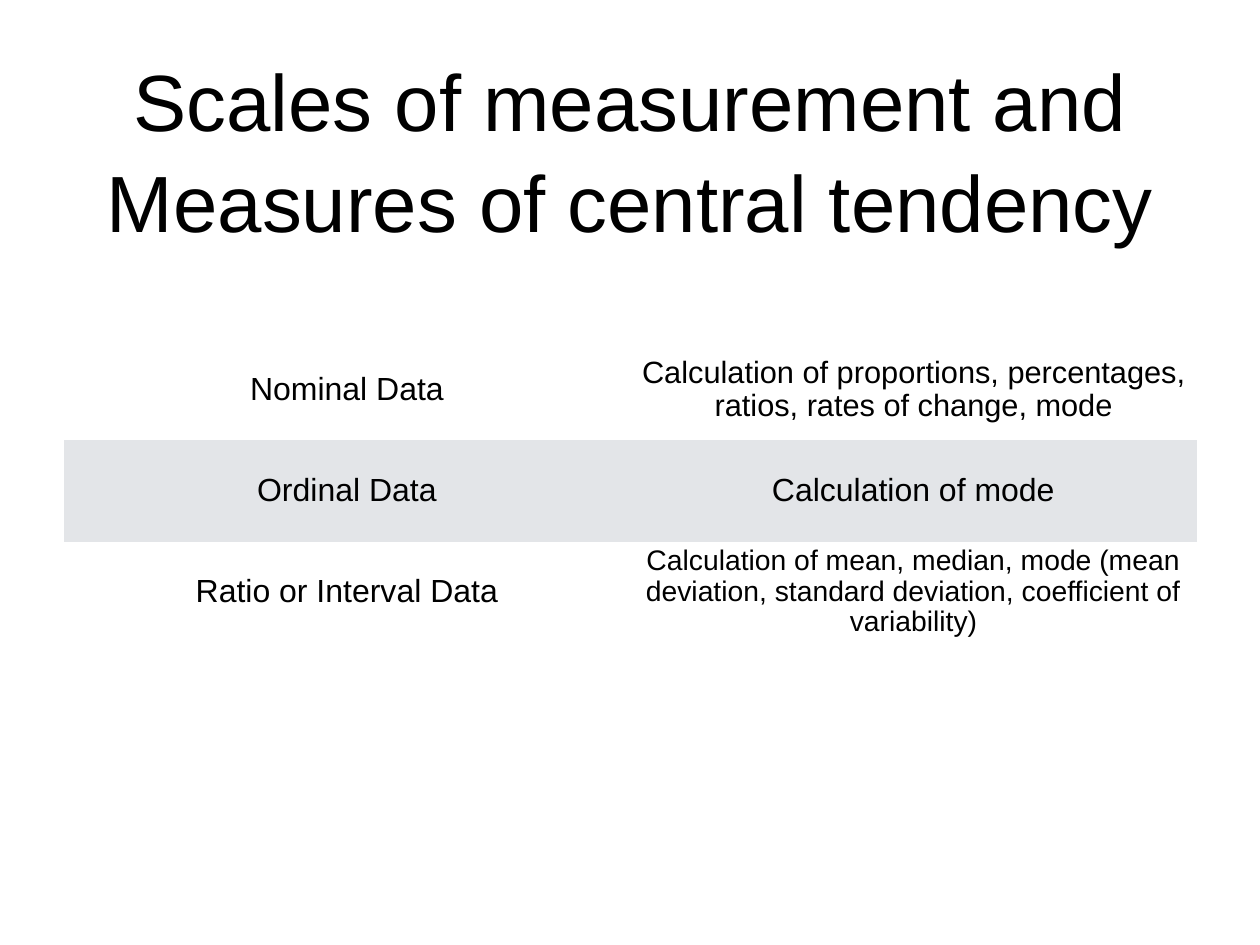
from pptx import Presentation
from pptx.dml.color import RGBColor
from pptx.enum.text import MSO_ANCHOR, MSO_AUTO_SIZE, PP_ALIGN
from pptx.oxml.ns import qn
from pptx.util import Cm, Pt

COLORS = {"text": "000000", "plain": "FFFFFF", "band": "E3E5E8"}
NO_STYLE_NO_GRID = "{2D5ABB26-0587-4C30-8999-92F81FD0307C}"
ROW_HEIGHT = Cm(2.9)
COL_WIDTH = Cm(16.24)
CELL_MARGIN = Cm(0.13)

# Each cell holds its text and its size in points
ROWS = [
    [("Nominal Data", 26),
     ("Calculation of proportions, percentages, ratios, rates of change, mode", 25)],
    [("Ordinal Data", 26), ("Calculation of mode", 26)],
    [("Ratio or Interval Data", 26),
     ("Calculation of mean, median, mode (mean deviation, standard deviation, "
      "coefficient of variability)", 23)],
]


def write_centered(tf, text, size, line_spacing):
    p = tf.paragraphs[0]
    p.alignment = PP_ALIGN.CENTER
    p.line_spacing = line_spacing
    r = p.add_run()
    r.text = text
    r.font.name = "Arial"
    r.font.size = Pt(size)
    r.font.color.rgb = RGBColor.from_string(COLORS["text"])


prs = Presentation()
prs.slide_width, prs.slide_height = Cm(36.12), Cm(27.1)
s = prs.slides.add_slide(prs.slide_layouts[5])
s.background.fill.solid()
s.background.fill.fore_color.rgb = RGBColor.from_string(COLORS["plain"])

# Title
title = s.shapes.title
title.left, title.top = Cm(2.64), Cm(1.24)
title.width, title.height = Cm(30.84), Cm(5.99)
tf = title.text_frame
tf.word_wrap = True
tf.auto_size = MSO_AUTO_SIZE.NONE
tf.vertical_anchor = MSO_ANCHOR.MIDDLE
tf.margin_left = tf.margin_right = tf.margin_top = tf.margin_bottom = 0
write_centered(tf, "Scales of measurement and Measures of central tendency", 64.8, 1.05)

# Table of scales and their measures
table = s.shapes.add_table(len(ROWS), 2, Cm(1.83), Cm(9.73),
                           COL_WIDTH * 2, ROW_HEIGHT * len(ROWS)).table
table.first_row = table.horz_banding = False
table._tbl.tblPr.find(qn("a:tableStyleId")).text = NO_STYLE_NO_GRID

for i, row in enumerate(ROWS):
    fill = COLORS["band" if i % 2 else "plain"]
    for j, (text, size) in enumerate(row):
        cell = table.cell(i, j)
        cell.fill.solid()
        cell.fill.fore_color.rgb = RGBColor.from_string(fill)
        cell.vertical_anchor = MSO_ANCHOR.MIDDLE
        cell.margin_left = cell.margin_right = CELL_MARGIN
        cell.margin_top = cell.margin_bottom = CELL_MARGIN
        write_centered(cell.text_frame, text, size, 0.96)

prs.save("out.pptx")
